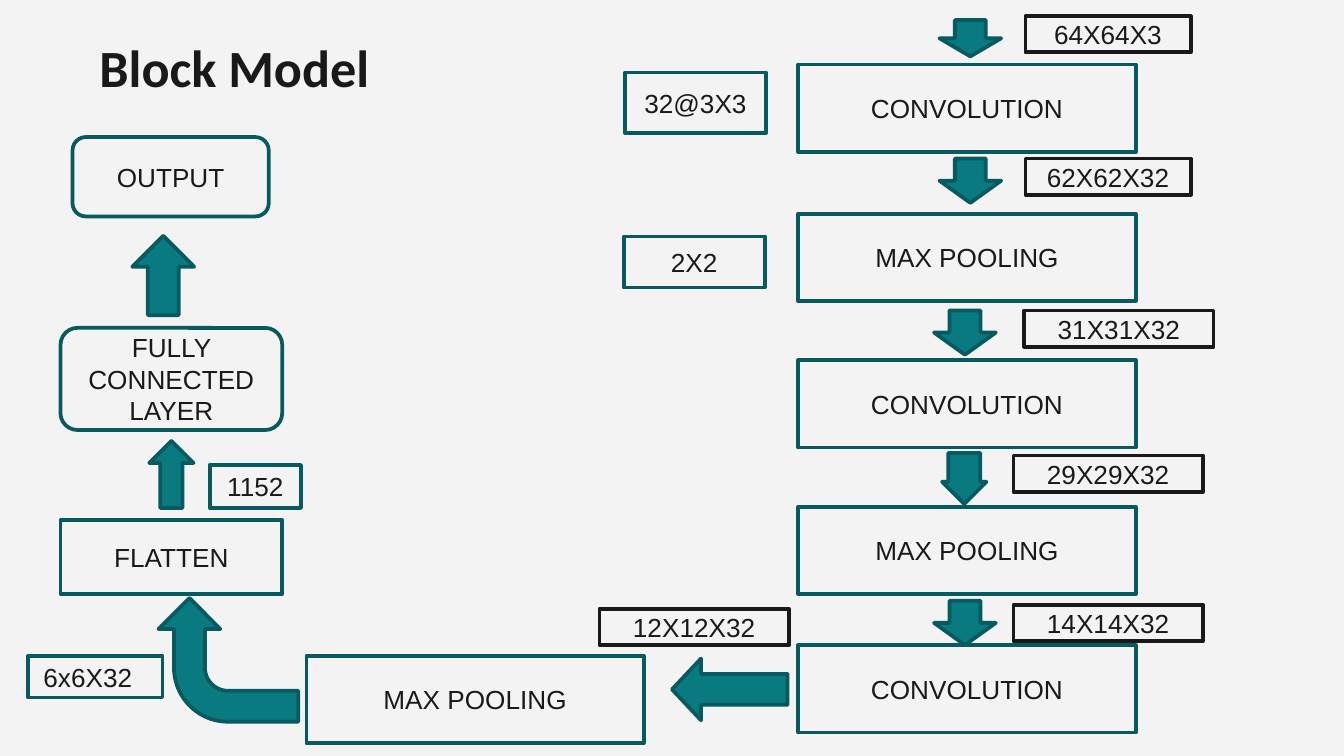
"""Build the Block Model slide: a network from convolution to output."""
from pptx import Presentation
from pptx.dml.color import RGBColor
from pptx.enum.shapes import MSO_SHAPE
from pptx.enum.text import MSO_ANCHOR, MSO_AUTO_SIZE, PP_ALIGN
from pptx.util import Inches, Pt

COLORS = {"paper": "F3F3F3", "teal": "097A80", "edge": "075A5F", "ink": "191919"}


def add_block(page, kind, bounds, fill, edge):
    block = page.shapes.add_shape(kind, *[Inches(length) for length in bounds])
    block.shadow.inherit = False
    block.fill.solid()
    block.fill.fore_color.rgb = RGBColor.from_string(COLORS[fill])
    block.line.color.rgb = RGBColor.from_string(COLORS[edge])
    block.line.width = Pt(2)
    return block


def add_box(page, text, bounds, edge="edge", kind=MSO_SHAPE.RECTANGLE):
    box = add_block(page, kind, bounds, "paper", edge)
    frame = box.text_frame
    frame.text = text
    frame.word_wrap = True
    frame.vertical_anchor = MSO_ANCHOR.MIDDLE
    frame.margin_top = frame.margin_bottom = 0
    para = frame.paragraphs[0]
    para.alignment = PP_ALIGN.CENTER
    font = para.runs[0].font
    font.name = "Arial"
    font.size = Pt(14)
    font.color.rgb = RGBColor.from_string(COLORS["ink"])
    return box


deck = Presentation()
deck.slide_width = Inches(10)
deck.slide_height = Inches(10) * 9 // 16
page = deck.slides.add_slide(deck.slide_layouts[5])
page.background.fill.solid()
page.background.fill.fore_color.rgb = RGBColor.from_string(COLORS["paper"])

title = page.shapes.title
title.left, title.top = Inches(0.64), Inches(0.16)
title.width, title.height = Inches(3.59), Inches(0.59)
frame = title.text_frame
frame.text = "Block Model"
frame.auto_size = MSO_AUTO_SIZE.NONE
frame.vertical_anchor = MSO_ANCHOR.TOP
frame.margin_left = frame.margin_right = Inches(0.1)
frame.margin_top = frame.margin_bottom = Inches(0.1)
frame.paragraphs[0].alignment = PP_ALIGN.LEFT
font = frame.paragraphs[0].runs[0].font
font.name, font.size, font.bold = "Calibri", Pt(28), True
font.color.rgb = RGBColor.from_string(COLORS["ink"])

layers = [
    ("CONVOLUTION", 5.94, 0.48),
    ("MAX POOLING", 5.94, 1.59),
    ("CONVOLUTION", 5.94, 2.68),
    ("MAX POOLING", 5.94, 3.77),
    ("CONVOLUTION", 5.94, 4.8),
    ("MAX POOLING", 2.28, 4.88),
]
for text, left, top in layers:
    add_box(page, text, (left, top, 2.51, 0.65))

add_box(page, "FLATTEN", (0.45, 3.87, 1.65, 0.55))
rounded = MSO_SHAPE.ROUNDED_RECTANGLE
add_box(page, "FULLY CONNECTED LAYER", (0.45, 2.44, 1.65, 0.76), kind=rounded)
add_box(page, "OUTPUT", (0.54, 1.02, 1.46, 0.59), kind=rounded)

arrows = [
    (MSO_SHAPE.DOWN_ARROW, (6.99, 0.15, 0.46, 0.27), 0, ()),
    (MSO_SHAPE.DOWN_ARROW, (6.99, 1.18, 0.46, 0.33), 0, ()),
    (MSO_SHAPE.DOWN_ARROW, (6.95, 2.31, 0.46, 0.33), 0, ()),
    (MSO_SHAPE.DOWN_ARROW, (7.01, 3.37, 0.33, 0.38), 0, (0.72, 0.5)),
    (MSO_SHAPE.DOWN_ARROW, (6.95, 4.47, 0.46, 0.33), 0, ()),
    (MSO_SHAPE.DOWN_ARROW, (5.2, 4.7, 0.46, 0.86), 90, (0.5, 0.47)),
    (MSO_SHAPE.BENT_ARROW, (1.24, 4.39, 0.92, 1.04), 270, ()),
    (MSO_SHAPE.DOWN_ARROW, (1.11, 3.28, 0.33, 0.5), 180, ()),
    (MSO_SHAPE.RIGHT_ARROW, (0.92, 1.82, 0.59, 0.46), 270, ()),
]
for kind, bounds, rotation, adjustments in arrows:
    arrow = add_block(page, kind, bounds, "teal", "edge")
    arrow.rotation = rotation
    for index, value in enumerate(adjustments):
        arrow.adjustments[index] = value

sizes = [
    ("64X64X3", 7.63, 0.12, 1.23),
    ("62X62X32", 7.63, 1.18, 1.23),
    ("31X31X32", 7.62, 2.31, 1.41),
    ("29X29X32", 7.54, 3.39, 1.41),
    ("14X14X32", 7.54, 4.5, 1.41),
    ("12X12X32", 4.46, 4.53, 1.41),
]
for text, left, top, width in sizes:
    add_box(page, text, (left, top, width, 0.27), edge="ink")

add_box(page, "32@3X3", (4.65, 0.54, 1.05, 0.45))
add_box(page, "2X2", (4.64, 1.76, 1.05, 0.38))
add_box(page, "1152", (1.56, 3.46, 0.68, 0.32))
pooled_size = add_box(page, "6x6X32", (0.21, 4.88, 1, 0.31))
pooled_size.text_frame.margin_right = Inches(0.21)

deck.save("out.pptx")
